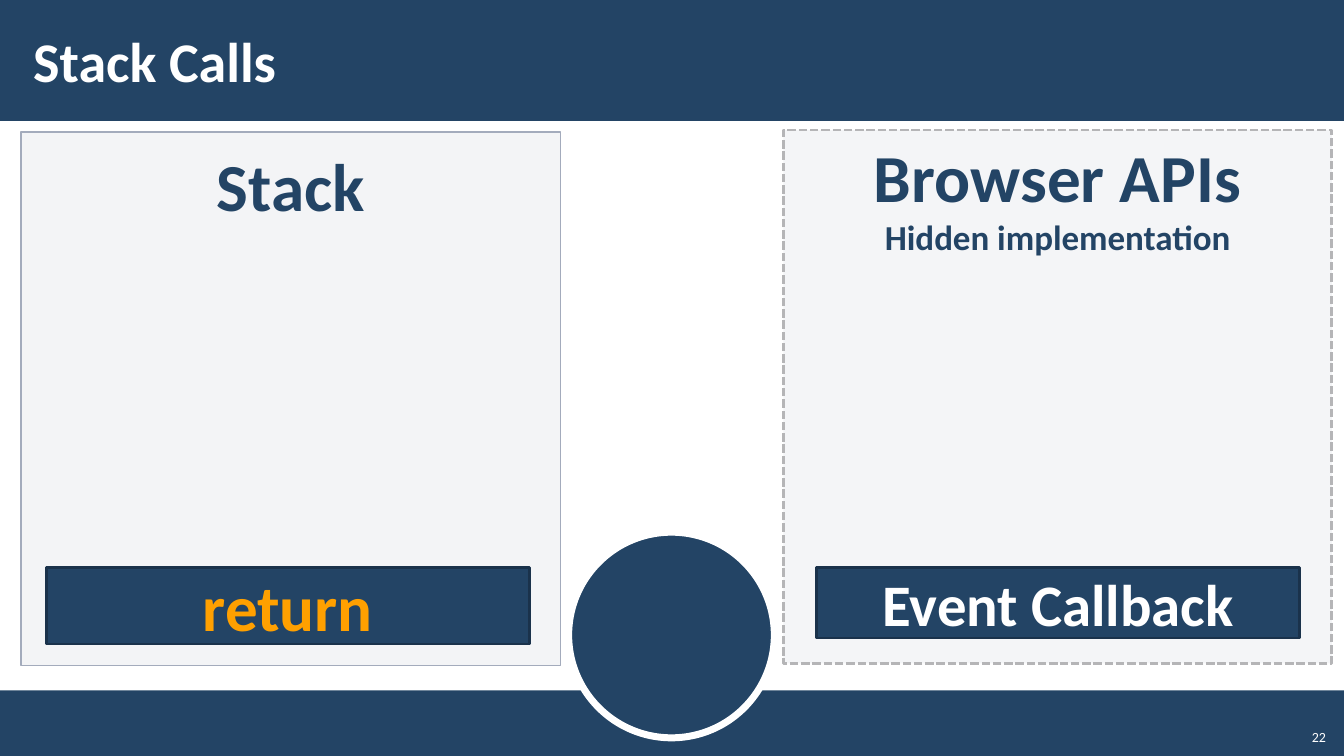
from dataclasses import dataclass

from pptx import Presentation
from pptx.dml.color import RGBColor
from pptx.enum.dml import MSO_LINE
from pptx.enum.shapes import MSO_SHAPE
from pptx.enum.text import MSO_ANCHOR, PP_ALIGN
from pptx.util import Emu, Pt

RECT, OVAL = MSO_SHAPE.RECTANGLE, MSO_SHAPE.OVAL
TOP, MIDDLE, BOTTOM = MSO_ANCHOR.TOP, MSO_ANCHOR.MIDDLE, MSO_ANCHOR.BOTTOM
LEFT, CENTER, RIGHT = PP_ALIGN.LEFT, PP_ALIGN.CENTER, PP_ALIGN.RIGHT
DASHED = MSO_LINE.SQUARE_DOT

FONT = "Calibri"
EMU_PER_PX = 9144  # 100 px to the inch
COLORS = {
    "navy": "234465",
    "navy_edge": "1A324B",
    "white": "FFFFFF",
    "stack_fill": "F3F4F6",
    "stack_edge": "A3ABBC",
    "browser_fill": "F4F5F7",
    "browser_edge": "B5B5B7",
    "orange": "FFA000",
}


@dataclass(frozen=True)
class Line:
    text: str
    size: float
    color: str = "navy"
    bold: bool = True


@dataclass(frozen=True)
class Block:
    box: tuple[int, int, int, int]
    fill: str | None = None
    edge: str | None = None
    edge_width: int = 2
    dash: MSO_LINE | None = None
    kind: MSO_SHAPE = RECT
    lines: tuple[Line, ...] = ()
    anchor: MSO_ANCHOR = MIDDLE
    align: PP_ALIGN = CENTER
    inset: tuple[int, int] = (10, 5)


BLOCKS = (
    # Footer, round badge and header bands
    Block((0, 685, 1333, 65), "navy"),
    Block((564, 528, 204, 204), "navy", "white", 5, kind=OVAL),
    Block((0, 0, 1333, 120), "navy"),
    # Stack panel and slide title
    Block((21, 131, 535, 529), "stack_fill", "stack_edge", 1,
          lines=(Line("Stack", 48),), anchor=TOP, inset=(16, 12)),
    Block((21, 11, 1063, 97), lines=(Line("Stack Calls", 40, "white"),),
          align=LEFT, inset=(12, 4)),
    # Browser panel
    Block((777, 129, 544, 529), "browser_fill", "browser_edge", dash=DASHED,
          lines=(Line("Browser APIs", 48), Line("Hidden implementation", 25)),
          anchor=TOP),
    # Calls inside the panels
    Block((46, 563, 479, 76), "navy", "navy_edge",
          lines=(Line("return", 46.5, "orange"),)),
    Block((810, 563, 479, 70), "navy", "navy_edge",
          lines=(Line("Event Callback", 42, "white"),)),
    # Slide number
    Block((1285, 712, 40, 32), lines=(Line("22", 10, "white", False),),
          anchor=BOTTOM, align=RIGHT),
)


def px(length: int) -> Emu:
    return Emu(length * EMU_PER_PX)


def rgb(name: str) -> RGBColor:
    return RGBColor.from_string(COLORS[name])


def write_lines(frame, block: Block) -> None:
    frame.word_wrap = True
    frame.vertical_anchor = block.anchor
    frame.margin_left = frame.margin_right = px(block.inset[0])
    frame.margin_top = frame.margin_bottom = px(block.inset[1])
    for index, line in enumerate(block.lines):
        paragraph = frame.add_paragraph() if index else frame.paragraphs[0]
        paragraph.text = line.text
        paragraph.alignment = block.align
        font = paragraph.font
        font.name, font.size, font.bold = FONT, Pt(line.size), line.bold
        font.color.rgb = rgb(line.color)


def draw_block(shapes, block: Block) -> None:
    box = [px(length) for length in block.box]
    if block.fill is None:
        panel = shapes.add_textbox(*box)
    else:
        panel = shapes.add_shape(block.kind, *box)
        panel.shadow.inherit = False
        panel.fill.solid()
        panel.fill.fore_color.rgb = rgb(block.fill)
        if block.edge is None:
            panel.line.fill.background()
        else:
            panel.line.color.rgb = rgb(block.edge)
            panel.line.width = Pt(block.edge_width)
            if block.dash is not None:
                panel.line.dash_style = block.dash
    if block.lines:
        write_lines(panel.text_frame, block)


def main() -> None:
    deck = Presentation()
    deck.slide_width, deck.slide_height = px(1333), px(750)
    slide = deck.slides.add_slide(deck.slide_layouts[6])
    for block in BLOCKS:
        draw_block(slide.shapes, block)
    deck.save("out.pptx")


if __name__ == "__main__":
    main()
